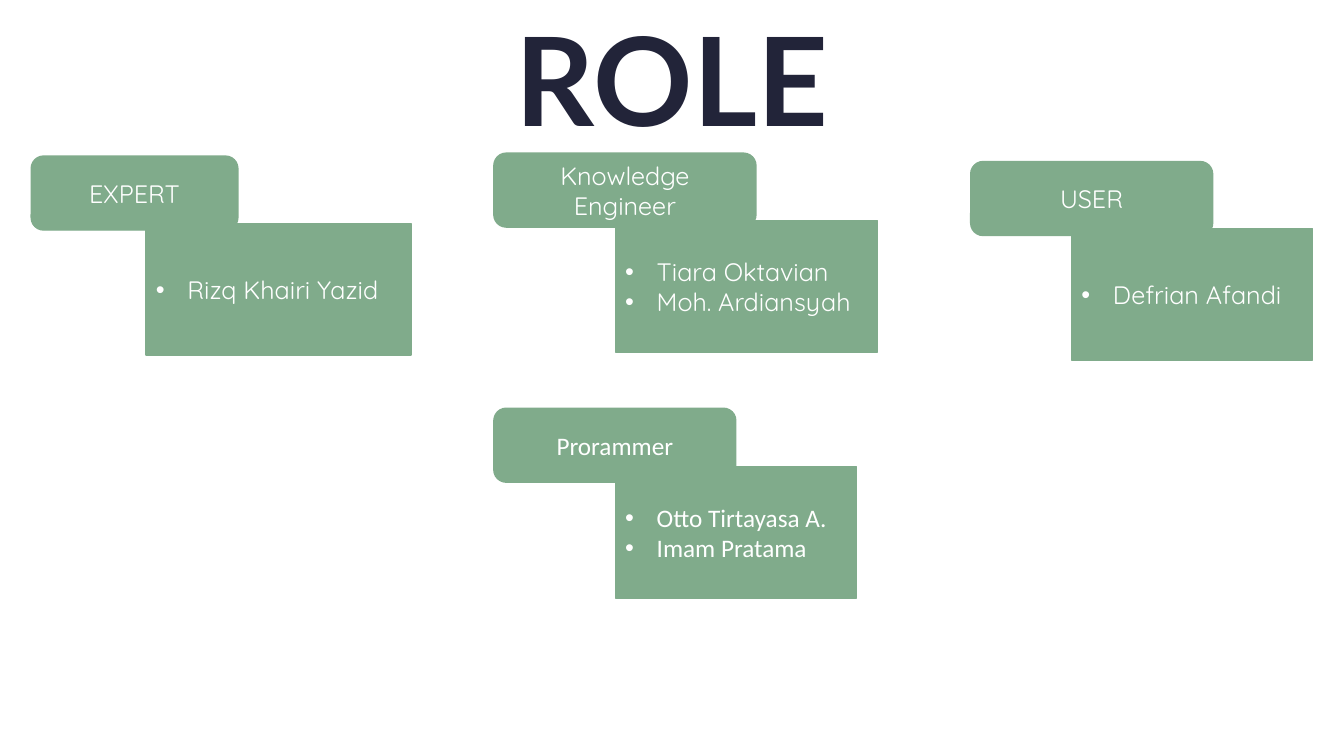
from lxml import etree
from pptx import Presentation
from pptx.dml.color import RGBColor
from pptx.enum.shapes import MSO_SHAPE
from pptx.enum.text import MSO_ANCHOR, PP_ALIGN
from pptx.oxml.ns import qn
from pptx.util import Pt

ROUNDED = MSO_SHAPE.ROUNDED_RECTANGLE
RECTANGLE = MSO_SHAPE.RECTANGLE
TOP = MSO_ANCHOR.TOP
MIDDLE = MSO_ANCHOR.MIDDLE
CENTER = PP_ALIGN.CENTER
LEFT = PP_ALIGN.LEFT

NAVY = RGBColor(0x22, 0x24, 0x39)
GREEN = RGBColor(0x80, 0xAB, 0x8B)
WHITE = RGBColor(0xFF, 0xFF, 0xFF)

LABEL_HEIGHT = 52.8
MEMBERS_HEIGHT = 93.8
BULLET_INDENT = 22.5


def add_run(paragraph, text, font_name, size, color):
    run = paragraph.add_run()
    run.text = text
    run.font.name = font_name
    run.font.size = Pt(size)
    run.font.color.rgb = color
    return run


def add_box(kind, left, top, width, height, lines, font_name, bulleted):
    shape = slide.shapes.add_shape(kind, Pt(left), Pt(top), Pt(width), Pt(height))
    shape.shadow.inherit = False
    shape.fill.solid()
    shape.fill.fore_color.rgb = GREEN
    shape.line.color.rgb = GREEN
    shape.line.width = Pt(1)
    frame = shape.text_frame
    frame.word_wrap = True
    frame.vertical_anchor = MIDDLE
    for index, line in enumerate(lines):
        paragraph = frame.add_paragraph() if index else frame.paragraphs[0]
        paragraph.alignment = LEFT if bulleted else CENTER
        add_run(paragraph, line, font_name, 18, WHITE)
        if bulleted:
            properties = paragraph._p.get_or_add_pPr()
            properties.set("marL", str(Pt(BULLET_INDENT)))
            properties.set("indent", str(-Pt(BULLET_INDENT)))
            etree.SubElement(properties, qn("a:buFont")).set("typeface", "Arial")
            etree.SubElement(properties, qn("a:buChar")).set("char", "•")


presentation = Presentation()
presentation.slide_width = Pt(960)
presentation.slide_height = Pt(540)
slide = presentation.slides.add_slide(presentation.slide_layouts[5])

title = slide.shapes.title
title.left, title.top, title.width, title.height = Pt(170), Pt(-1.5), Pt(620), Pt(114)
title.text_frame.vertical_anchor = TOP
title_paragraph = title.text_frame.paragraphs[0]
title_paragraph.alignment = CENTER
title_run = add_run(title_paragraph, "ROLE", "Lato", 88, NAVY)
title_run.font.bold = True

roles = [
    ("EXPERT", ["Rizq Khairi Yazid"], "Quicksand",
     (22.3, 111.5, 147.6), (104.2, 159.8, 189.4)),
    ("Knowledge Engineer", ["Tiara Oktavian", "Moh. Ardiansyah"], "Quicksand",
     (352.8, 109.4, 187.2), (439.5, 157.7, 187.2)),
    ("USER", ["Defrian Afandi"], "Quicksand",
     (693.4, 115.4, 172.8), (765.4, 163.4, 172.1)),
    ("Prorammer", ["Otto Tirtayasa A.", "Imam Pratama"], "Calibri",
     (352.8, 291.6, 172.8), (439.5, 333.4, 172.1)),
]

for role, members, font_name, label_place, members_place in roles:
    add_box(ROUNDED, *label_place, LABEL_HEIGHT, [role], font_name, False)
    add_box(RECTANGLE, *members_place, MEMBERS_HEIGHT, members, font_name, True)

presentation.save("out.pptx")
